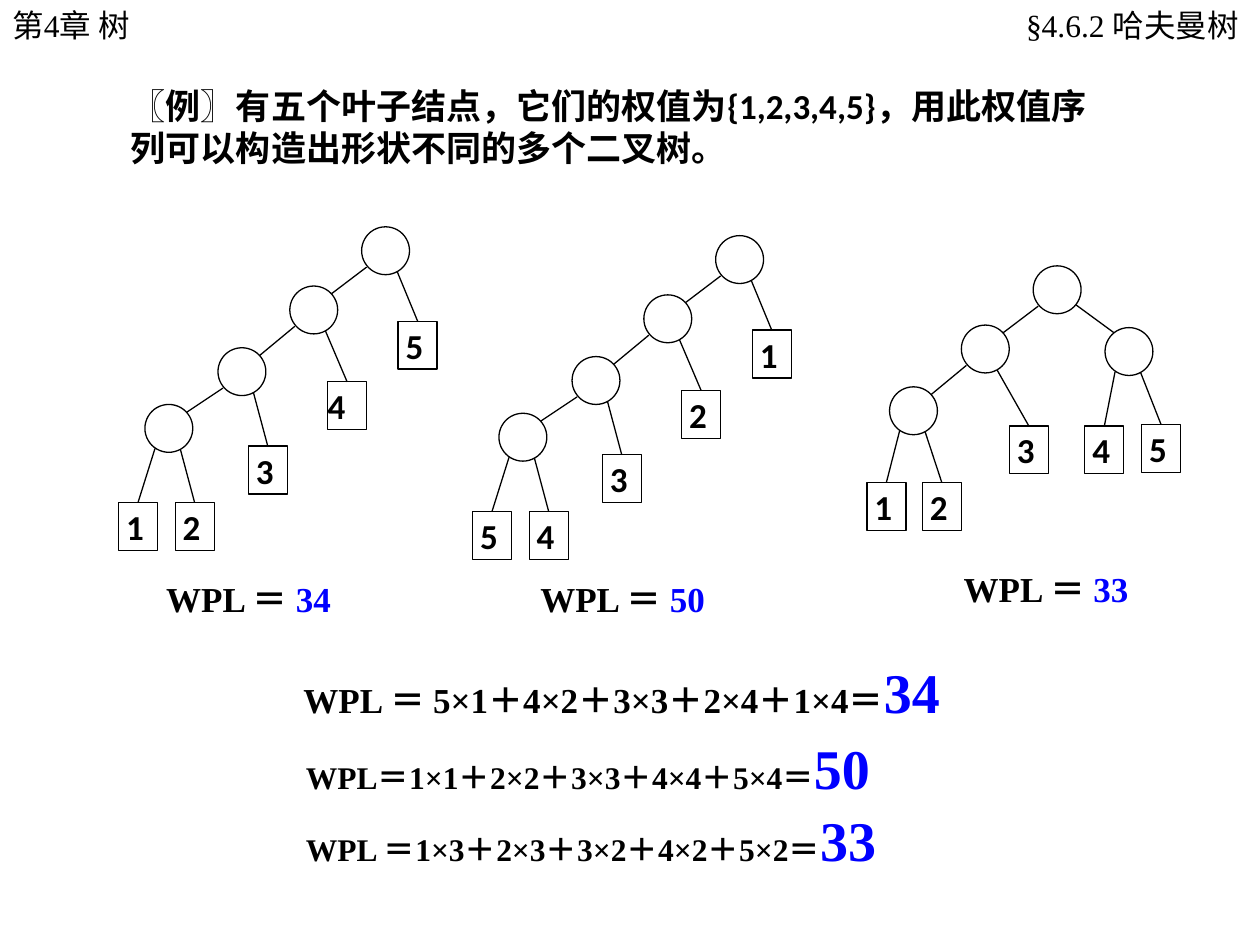
from dataclasses import dataclass

from lxml.etree import SubElement
from pptx import Presentation
from pptx.dml.color import RGBColor
from pptx.enum.shapes import MSO_CONNECTOR, MSO_SHAPE
from pptx.enum.text import MSO_ANCHOR, PP_ALIGN
from pptx.oxml.ns import qn
from pptx.util import Inches, Pt


@dataclass(frozen=True)
class Theme:
    ink: RGBColor = RGBColor(0, 0, 0)
    paper: RGBColor = RGBColor(255, 255, 255)
    result: RGBColor = RGBColor(0, 0, 255)
    serif: str = "Times New Roman"
    sans: str = "Calibri"
    small: int = 18
    body: int = 20
    large: int = 32
    line: float = 0.75


NODE_SIZE = 0.38
LEAF_WIDTH = 0.31
LEAF_INDENT = 0.06
FORMULA_INDENT = 0.28

# Offsets from a circle's top left corner to where its edges leave or arrive.
CHILD_EXIT = {"left": (0.04, 0.32), "right": (0.34, 0.31)}
CHILD_ENTRY = {"left": (0.32, 0.07), "right": (0.07, 0.04)}
LEAF_EXIT = {"left": (0.08, 0.35), "right": (0.28, 0.35)}


class SlideBuilder:
    def __init__(self, slide, theme):
        self.slide = slide
        self.theme = theme

    def add_runs(self, frame, runs, font, bold=True, align=None, indent=0.0):
        """Fill the first paragraph with (text, size, colour) runs."""
        paragraph = frame.paragraphs[0]
        paragraph.alignment = align
        if indent:
            paragraph._p.get_or_add_pPr().set("indent", str(Inches(indent)))
        for words, size, color in runs:
            run = paragraph.add_run()
            run.text = words
            run.font.name = font
            run.font.size = Pt(size)
            run.font.bold = bold
            run.font.color.rgb = color

    def text(self, box, runs, font=None, anchor=MSO_ANCHOR.TOP,
             right_inset=0.1, **style):
        frame = self.slide.shapes.add_textbox(*map(Inches, box)).text_frame
        frame.word_wrap = True
        frame.vertical_anchor = anchor
        frame.margin_right = Inches(right_inset)
        self.add_runs(frame, runs, font or self.theme.serif, **style)

    def outlined(self, preset, x, y, width, height):
        shape = self.slide.shapes.add_shape(
            preset, Inches(x), Inches(y), Inches(width), Inches(height))
        shape.shadow.inherit = False
        shape.fill.solid()
        shape.fill.fore_color.rgb = self.theme.paper
        shape.line.color.rgb = self.theme.ink
        shape.line.width = Pt(self.theme.line)
        return shape

    def node(self, x, y):
        self.outlined(MSO_SHAPE.OVAL, x, y, NODE_SIZE, NODE_SIZE)

    def leaf(self, x, y, weight, indent):
        leaf = self.outlined(MSO_SHAPE.RECTANGLE, x, y, LEAF_WIDTH, NODE_SIZE)
        frame = leaf.text_frame
        frame.margin_left = frame.margin_right = 0
        frame.margin_top = frame.margin_bottom = 0
        frame.vertical_anchor = MSO_ANCHOR.MIDDLE
        self.add_runs(frame, [(str(weight), self.theme.body, self.theme.ink)],
                      self.theme.sans, align=PP_ALIGN.JUSTIFY, indent=indent)
        return leaf

    def edge(self, start, end, leaf=None):
        edge = self.slide.shapes.add_connector(
            MSO_CONNECTOR.STRAIGHT, *map(Inches, (*start, *end)))
        edge.line.color.rgb = self.theme.ink
        edge.line.width = Pt(self.theme.line)
        SubElement(edge._element.spPr, qn("a:effectLst"))
        if leaf is not None:
            edge.end_connect(leaf, 0)

    def tree(self, root, layout, weights, flush_weight=None):
        """Draw one tree; flush_weight is the leaf whose digit is not indented."""
        def place(offset, base=root):
            return base[0] + offset[0], base[1] + offset[1]

        nodes = [place(offset) for offset in layout["nodes"]]
        for parent, child, side in layout["branches"]:
            self.edge(place(CHILD_EXIT[side], nodes[parent]),
                      place(CHILD_ENTRY[side], nodes[child]))
        for (parent, side, offset), weight in zip(layout["leaves"], weights):
            x, y = place(offset)
            indent = 0 if weight == flush_weight else LEAF_INDENT
            leaf = self.leaf(x, y, weight, indent)
            self.edge(place(LEAF_EXIT[side], nodes[parent]),
                      (x + LEAF_WIDTH / 2, y), leaf)
        for position in nodes:
            self.node(*position)


SKEWED = {
    "nodes": [(0, 0), (-0.57, 0.47), (-1.14, 0.96), (-1.72, 1.41)],
    "branches": [(0, 1, "left"), (1, 2, "left"), (2, 3, "left")],
    "leaves": [(3, "left", (-1.93, 2.19)), (3, "right", (-1.48, 2.19)),
               (2, "right", (-0.9, 1.74)), (1, "right", (-0.27, 1.23)),
               (0, "right", (0.29, 0.75))],
}
HUFFMAN = {
    "nodes": [(0, 0), (-0.57, 0.47), (-1.14, 0.96), (0.57, 0.49)],
    "branches": [(0, 1, "left"), (1, 2, "left"), (0, 3, "right")],
    "leaves": [(2, "left", (-1.32, 1.72)), (2, "right", (-0.88, 1.72)),
               (1, "right", (-0.19, 1.27)), (3, "left", (0.41, 1.27)),
               (3, "right", (0.86, 1.26))],
}


def main():
    theme = Theme()
    deck = Presentation()
    deck.slide_width, deck.slide_height = Inches(10), Inches(7.5)
    page = SlideBuilder(deck.slides.add_slide(deck.slide_layouts[6]), theme)

    page.text((0, 0, 2.09, 0.4), [("第4章 树", theme.small, theme.ink)], bold=False)
    page.text((6.18, 0, 3.81, 0.4), [("§4.6.2 哈夫曼树", theme.small, theme.ink)],
              bold=False, align=PP_ALIGN.RIGHT, right_inset=0.16)
    problem = "〖例〗有五个叶子结点，它们的权值为{1,2,3,4,5}，用此权值序列可以构造出形状不同的多个二叉树。"
    page.text((0.94, 0.62, 8.05, 0.77), [(problem, theme.body, theme.ink)],
              font=theme.sans)

    page.tree((2.87, 1.8), SKEWED, (1, 2, 3, 4, 5), flush_weight=4)
    page.tree((5.68, 1.87), SKEWED, (5, 4, 3, 2, 1))
    page.tree((8.2, 2.11), HUFFMAN, (1, 2, 3, 4, 5))

    for x, y, total in ((0.94, 4.53, "34"), (3.91, 4.53, "50"), (7.27, 4.45, "33")):
        page.text((x, y, 1.8, 0.44),
                  [("WPL ＝ ", theme.body, theme.ink),
                   (total, theme.body, theme.result)],
                  anchor=MSO_ANCHOR.MIDDLE, indent=FORMULA_INDENT)

    formulas = (
        ((2.03, 5.17, 6.56, 0.64), "WPL ＝ 5×1＋4×2＋3×3＋2×4＋1×4＝", "34",
         theme.body, FORMULA_INDENT),
        ((2.33, 5.77, 5.78, 0.64), "WPL＝1×1＋2×2＋3×3＋4×4＋5×4＝", "50",
         theme.small, 0),
        ((2.33, 6.34, 5.47, 0.64), "WPL ＝1×3＋2×3＋3×2＋4×2＋5×2＝", "33",
         theme.small, 0),
    )
    for box, terms, total, size, indent in formulas:
        page.text(box, [(terms, size, theme.ink), (total, theme.large, theme.result)],
                  indent=indent)

    deck.save("out.pptx")


if __name__ == "__main__":
    main()
